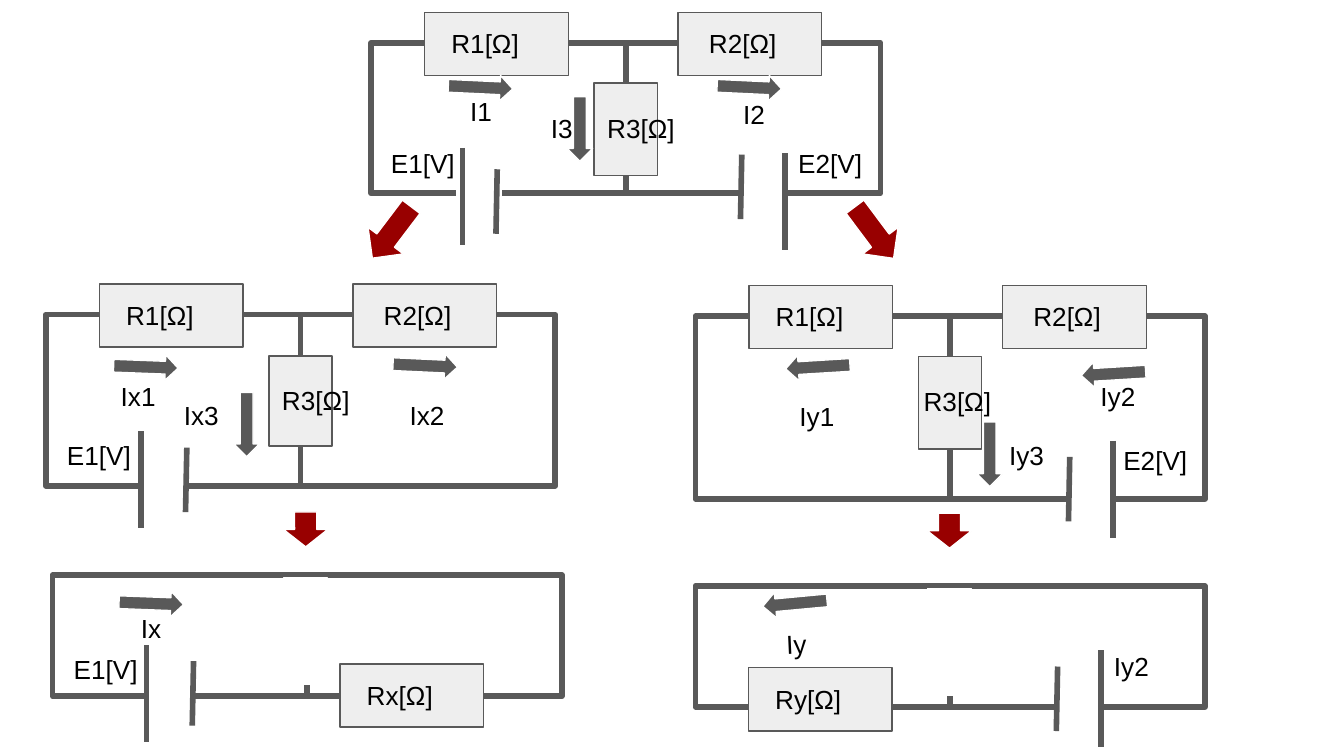
from lxml import etree
from pptx import Presentation
from pptx.dml.color import RGBColor
from pptx.enum.shapes import MSO_CONNECTOR, MSO_SHAPE
from pptx.enum.text import MSO_AUTO_SIZE
from pptx.oxml.ns import qn
from pptx.util import Pt

RECT = MSO_SHAPE.RECTANGLE
DOWN = MSO_SHAPE.DOWN_ARROW
STRAIGHT = MSO_CONNECTOR.STRAIGHT
GROW = MSO_AUTO_SIZE.SHAPE_TO_FIT_TEXT

DARK, PALE, WHITE, RED, BLACK = "595959", "EEEEEE", "FFFFFF", "980000", "000000"
WIDE = 273          # width of every loop
BOX_W, BOX_H = 77, 33.84

# Batteries: gap x, y, height; long plate x, y; short plate x, y
CELLS = [
    (244.8, 82.8, 51.8, 247.7, 79.2, 266.4, 90.7),
    (396.7, 82.8, 51.8, 420.5, 82.1, 397.4, 82.8),
    (77, 241.9, 51.8, 75.6, 231.1, 100.1, 239.8),
    (572.4, 238.3, 51.8, 596.2, 236.2, 573.1, 244.8),
    (79.9, 356.4, 48.2, 78.5, 345.6, 103.7, 354.2),
    (565.9, 355, 51.8, 589.7, 348.5, 566.6, 357.1),
]

# Current arrows: x, y, turn
FLOWS = [
    (250.6, 29.5, 272.7), (394.6, 29.5, 272.7), (303.8, 51.8, 0),
    (71.3, 179.3, 272.2), (221, 178.6, 272.7), (125.3, 210.2, 0),
    (431.3, 179.3, 86.5), (589.7, 182.9, 86.5), (523.4, 226.1, 0),
    (74.2, 306, 272.2), (419, 306, 84.7),
]

# Step arrows: x, y, height, turn
STEPS = [
    (198, 107.3, 34.56, 37.1), (456.5, 107.3, 34.56, 323.2),
    (151.9, 274.3, 18.72, 359.9), (496.8, 275, 18.72, 359.9),
]

# Names of currents and voltages: text, x, y
NAMES = [
    ("I1", 244.8, 43.9), ("I2", 391, 45.4), ("I3", 288, 53.3),
    ("E1[V]", 202.3, 72), ("E2[V]", 420.5, 72),
    ("Ix1", 57.6, 196.6), ("Ix2", 212.4, 206.6), ("Ix3", 91.4, 206.6),
    ("E1[V]", 28.8, 228.2),
    ("Iy1", 421.2, 207.4), ("Iy2", 582.5, 196.6), ("Iy3", 533.5, 228.2),
    ("E2[V]", 594.7, 231.1),
    ("Ix", 68.4, 321.1), ("E1[V]", 32.4, 342.7), ("Iy2", 589.7, 341.3),
]


def color(code):
    return RGBColor.from_string(code)


def shape(slide, kind, x, y, w, h, fill=None, edge=WHITE, weight=0.75, turn=0):
    item = slide.shapes.add_shape(kind, Pt(x), Pt(y), Pt(w), Pt(h))
    item.shadow.inherit = False
    if fill:
        item.fill.solid()
        item.fill.fore_color.rgb = color(fill)
    else:
        item.fill.background()
    item.line.color.rgb = color(edge)
    item.line.width = Pt(weight)
    item.rotation = turn
    return item


def wire(slide, x1, y1, x2, y2):
    line = slide.shapes.add_connector(STRAIGHT, Pt(x1), Pt(y1), Pt(x2), Pt(y2))
    line.line.color.rgb = color(DARK)
    line.line.width = Pt(3)
    etree.SubElement(line._element.spPr, qn("a:effectLst"))
    return line


def label(slide, text, x, y, size=14, font="Arial", ink=BLACK, turn=0):
    box = slide.shapes.add_textbox(Pt(x), Pt(y), Pt(62.64), Pt(31.68))
    box.rotation = turn
    frame = box.text_frame
    frame.word_wrap = True
    frame.auto_size = GROW
    frame.margin_left = frame.margin_right = Pt(7.2)
    frame.margin_top = frame.margin_bottom = Pt(7.2)
    run = frame.paragraphs[0].add_run()
    run.text = text
    run.font.size = Pt(size)
    run.font.name = font
    run.font.color.rgb = color(ink)


def loop(slide, x, y, h):
    """Outer wire with a middle branch from top to bottom."""
    frame = shape(slide, RECT, x, y, WIDE, h, edge=DARK, weight=3)
    mid = x + WIDE / 2
    branch = wire(slide, mid, y, mid, y + h)
    branch.begin_connect(frame, 0)
    branch.end_connect(frame, 2)


def load(slide, text, x, y, shift=7.2):
    """Horizontal resistor with its name."""
    shape(slide, RECT, x, y, BOX_W, BOX_H, PALE, DARK)
    label(slide, text, x + shift, y + 1)


def network(slide, x, y, h, long, shift):
    """Loop with R1 and R2 on top and R3 in the middle branch."""
    loop(slide, x, y, h)
    load(slide, "R1[Ω]", x + 28.8, y - 16.4)
    load(slide, "R2[Ω]", x + 164.6, y - 16.4, 9.4)
    mid = x + WIDE / 2
    shape(slide, RECT, mid - long / 2, y + 29.4, long, BOX_H, PALE, DARK, turn=90)
    label(slide, "R3[Ω]", x + shift, y + 30)


def cell(slide, x, y, h, long_x, long_y, short_x, short_y):
    """Battery: gap in the wire, long plate and short plate."""
    shape(slide, RECT, x, y, 23.76, h, WHITE)
    wire(slide, long_x, long_y, long_x, long_y + 51.84)
    wire(slide, short_x, short_y, short_x - 0.7, short_y + 34.56)


def main():
    prs = Presentation()
    prs.slide_width, prs.slide_height = Pt(720), Pt(405)
    slide = prs.slides.add_slide(prs.slide_layouts[6])

    # Full circuit, then one circuit for each source
    network(slide, 198.7, 23, 80.6, 49.7, 119.5)
    network(slide, 24.5, 168.5, 91.8, 48.2, 119.5)
    network(slide, 372.5, 169.4, 97.9, 49.7, 115.2)

    # Reduced circuits, with only a stub left of the middle branch
    for x, y, mask_x, mask_y in [(28.1, 308.2, 151.9, 309.6),
                                 (372.5, 313.9, 496.8, 315.4)]:
        loop(slide, x, y, 64.8)
        shape(slide, RECT, mask_x, mask_y, 23.76, 56.9, WHITE)
    load(slide, "Rx[Ω]", 182.2, 355.7)
    load(slide, "Ry[Ω]", 401, 357.8)

    # Batteries
    for spot in CELLS:
        cell(slide, *spot)

    # Arrows
    for x, y, turn in FLOWS:
        shape(slide, DOWN, x, y, 13.68, 34.56, DARK, turn=turn)
    for x, y, h, turn in STEPS:
        shape(slide, DOWN, x, y, 23.76, h, RED, turn=turn)

    # Names
    for text, x, y in NAMES:
        label(slide, text, x, y)
    label(slide, "Iy", 414, 328.3, turn=357.3)

    prs.save("out.pptx")


if __name__ == "__main__":
    main()
